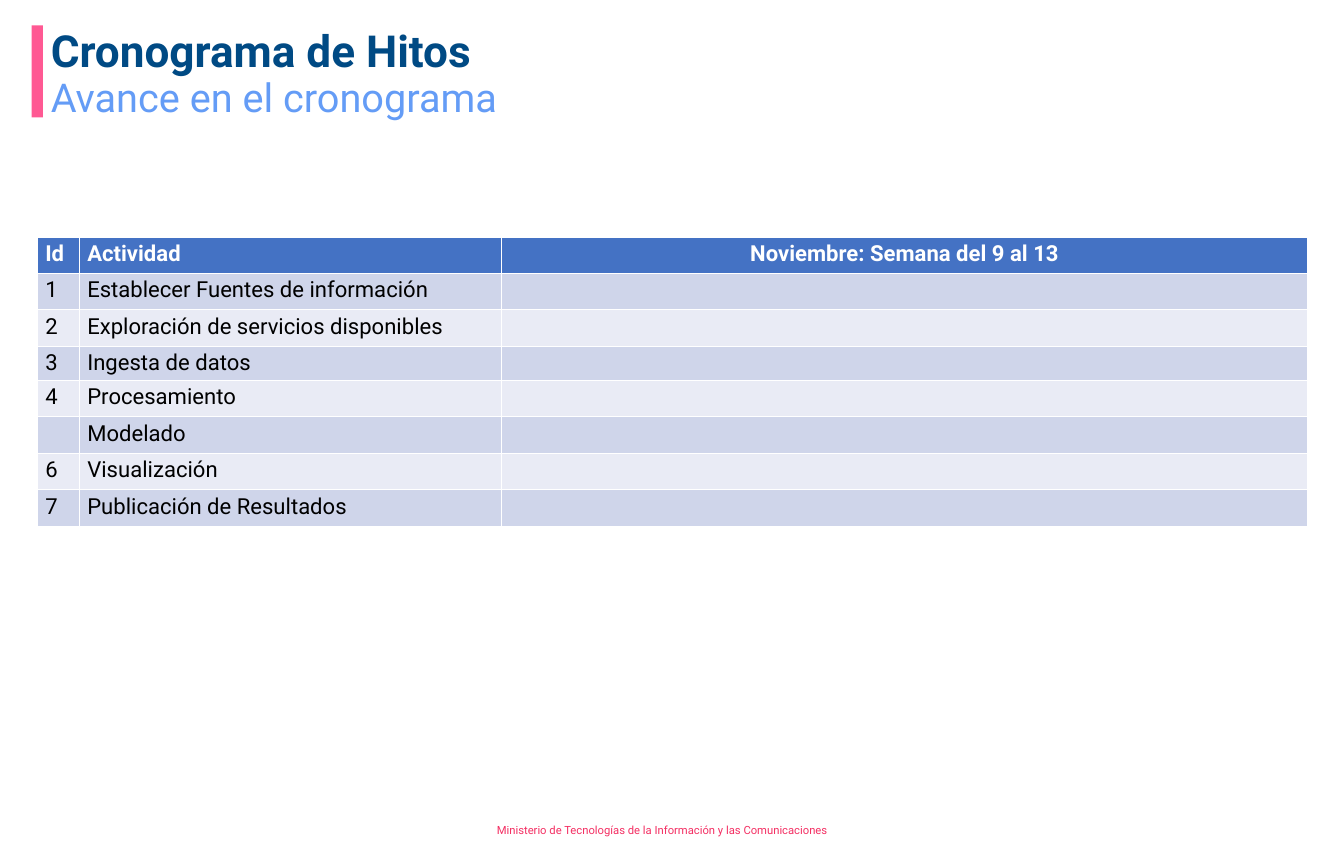
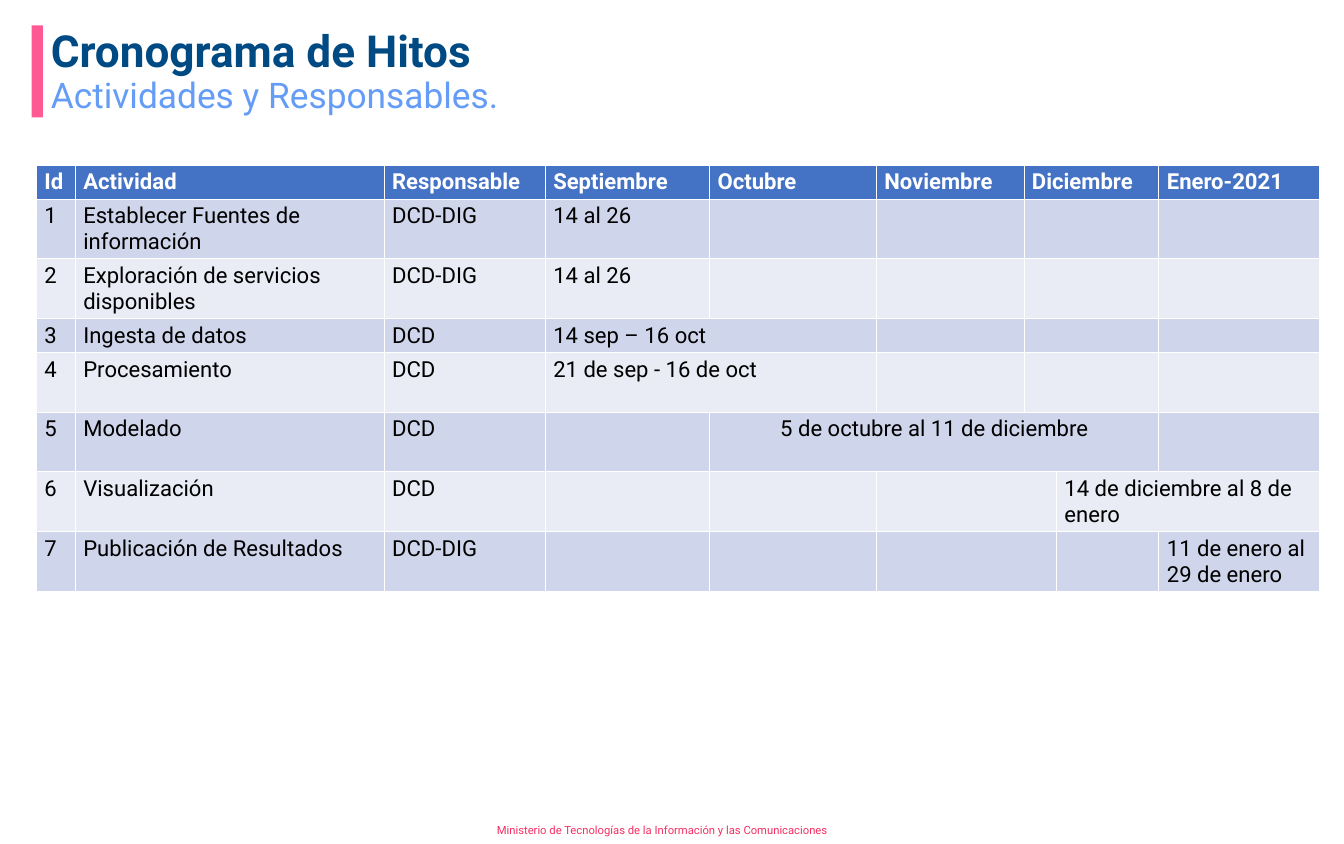
from pptx import Presentation
from pptx.dml.color import RGBColor
from pptx.enum.shapes import MSO_SHAPE
from pptx.enum.text import MSO_ANCHOR, MSO_AUTO_SIZE, PP_ALIGN
from pptx.oxml.ns import qn
from pptx.util import Inches, Pt

W, H = 16.93, 10.63
FONT = "Roboto"
PINK, ROSE, NAVY, SKY = "FF5993", "F42F63", "004A84", "649CF6"
WHITE, BLACK, HEAD, BANDS = "FFFFFF", "000000", "4472C4", ("E9EBF5", "CFD5EA")

TITLE = "Cronograma de Hitos"
FOOTER = "Ministerio de Tecnologías de la Información y las Comunicaciones"
ACTIVITIES = [
    "Establecer Fuentes de información",
    "Exploración de servicios disponibles",
    "Ingesta de datos",
    "Procesamiento",
    "Modelado",
    "Visualización",
    "Publicación de Resultados",
]
OWNERS = ["DCD-DIG", "DCD-DIG", "DCD", "DCD", "DCD", "DCD", "DCD-DIG"]
DATES = [
    {3: "14 al 26"},
    {3: "14 al 26"},
    {3: "14 sep – 16 oct"},
    {3: "21 de sep - 16 de oct"},
    {4: "5 de octubre al 11 de diciembre"},
    {7: "14 de diciembre al 8 de enero"},
    {8: "11 de enero al 29 de enero"},
]
IDS = ["1", "2", "3", "4", "", "6", "7"]

SLIDES = [
    dict(
        subtitle="Avance en el cronograma", size=36, at=(0.47, 2.99),
        cols=[0.53, 5.32, 10.15],
        rows=[0.45] + [0.46] * 2 + [0.43] + [0.46] * 4,
        header={0: "Id", 1: "Actividad", 2: "Noviembre: Semana del 9 al 13"},
        body=[{0: n, 1: a} for n, a in zip(IDS, ACTIVITIES)],
        spans=[], centred=[(0, 2)],
    ),
    dict(
        subtitle="Actividades y Responsables.", size=32, at=(0.46, 2.08),
        cols=[0.49, 3.89, 2.03, 2.07, 2.1, 1.86, 0.41, 1.29, 2.02],
        rows=[0.42, 0.75, 0.75, 0.42] + [0.75] * 4,
        header={0: "Id", 1: "Actividad", 2: "Responsable", 3: "Septiembre",
                4: "Octubre", 5: "Noviembre", 6: "Diciembre", 8: "Enero-2021"},
        body=[{0: str(n), 1: a, 2: o, **d}
              for n, (a, o, d) in enumerate(zip(ACTIVITIES, OWNERS, DATES), 1)],
        spans=[(r, 6, 2) for r in range(5)]
        + [(3, 3, 2), (4, 3, 2), (5, 4, 4), (6, 5, 2), (6, 7, 2), (7, 5, 2)],
        centred=[(5, 4)],
    ),
]


def rgb(value):
    return RGBColor.from_string(value)


def write(tf, text, size, color, bold=False, **paragraph):
    p = tf.paragraphs[0]
    for name, value in paragraph.items():
        setattr(p, name, value)
    r = p.add_run()
    r.text = text
    for name, value in dict(name=FONT, size=Pt(size), bold=bold).items():
        setattr(r.font, name, value)
    r.font.color.rgb = rgb(color)
    return p


def place(sp, left, top, width, height):
    box = dict(left=left, top=top, width=width, height=height)
    for name, value in box.items():
        setattr(sp, name, Inches(value))


def heading(sp, text, size, color, bold=False):
    tf = sp.text_frame
    frame = dict(word_wrap=True, auto_size=MSO_AUTO_SIZE.NONE,
                 vertical_anchor=MSO_ANCHOR.TOP)
    for name, value in frame.items():
        setattr(tf, name, value)
    p = write(tf, text, size, color, bold, alignment=PP_ALIGN.LEFT,
              line_spacing=0.9, space_before=Pt(0))
    pPr = p._p.get_or_add_pPr()
    pPr.set("marL", "0")
    pPr.set("indent", "0")
    pPr.append(pPr.makeelement(qn("a:buNone"), {}))


def brand(layout, s):
    place(layout.placeholders[0], 0.54, 0.32, 15.99, 0.55)
    place(layout.placeholders[1], 0.54, 0.93, 13.08, 0.75)
    bar = s.shapes.add_shape(MSO_SHAPE.RECTANGLE, Inches(0.4), Inches(0.32),
                             Inches(0.14), Inches(1.16))
    bar.shadow.inherit = False
    bar.fill.solid()
    bar.fill.fore_color.rgb = rgb(PINK)
    bar.line.fill.background()
    footer = s.shapes.add_textbox(Inches(6.16), Inches(10.28), Inches(4.6), Inches(0.35))
    footer.text_frame.word_wrap = True
    footer.text_frame.vertical_anchor = MSO_ANCHOR.MIDDLE
    write(footer.text_frame, FOOTER, 10.2, ROSE)
    for number, sp in enumerate((bar, footer), 20):
        sp.element.xpath(".//p:cNvPr")[0].set("id", str(number))
        layout.shapes.element.append(sp.element)


def schedule(s, at, cols, rows, header, body, spans, centred):
    size = (sum(cols), sum(rows))
    table = s.shapes.add_table(len(rows), len(cols),
                               *map(Inches, at + size)).table
    for column, width in zip(table.columns, cols):
        column.width = Inches(width)
    for row, height in zip(table.rows, rows):
        row.height = Inches(height)
    for r, c, width in spans:
        table.cell(r, c).merge(table.cell(r, c + width - 1))
    for r, texts in enumerate([header] + body):
        for c in range(len(cols)):
            cell = table.cell(r, c)
            cell.fill.solid()
            cell.fill.fore_color.rgb = rgb(BANDS[r % 2] if r else HEAD)
            if texts.get(c):
                align = PP_ALIGN.CENTER if (r, c) in centred else PP_ALIGN.LEFT
                write(cell.text_frame, texts[c], 20, BLACK if r else WHITE,
                      r == 0, alignment=align)


prs = Presentation()
prs.slide_width, prs.slide_height = Inches(W), Inches(H)
layout = prs.slide_layouts[1]
for index, content in enumerate(SLIDES):
    s = prs.slides.add_slide(layout)
    if index == 0:
        brand(layout, s)
    title, body = s.placeholders
    heading(title, TITLE, 40, NAVY, True)
    heading(body, content.pop("subtitle"), content.pop("size"), SKY)
    schedule(s, **content)
prs.save("out.pptx")
